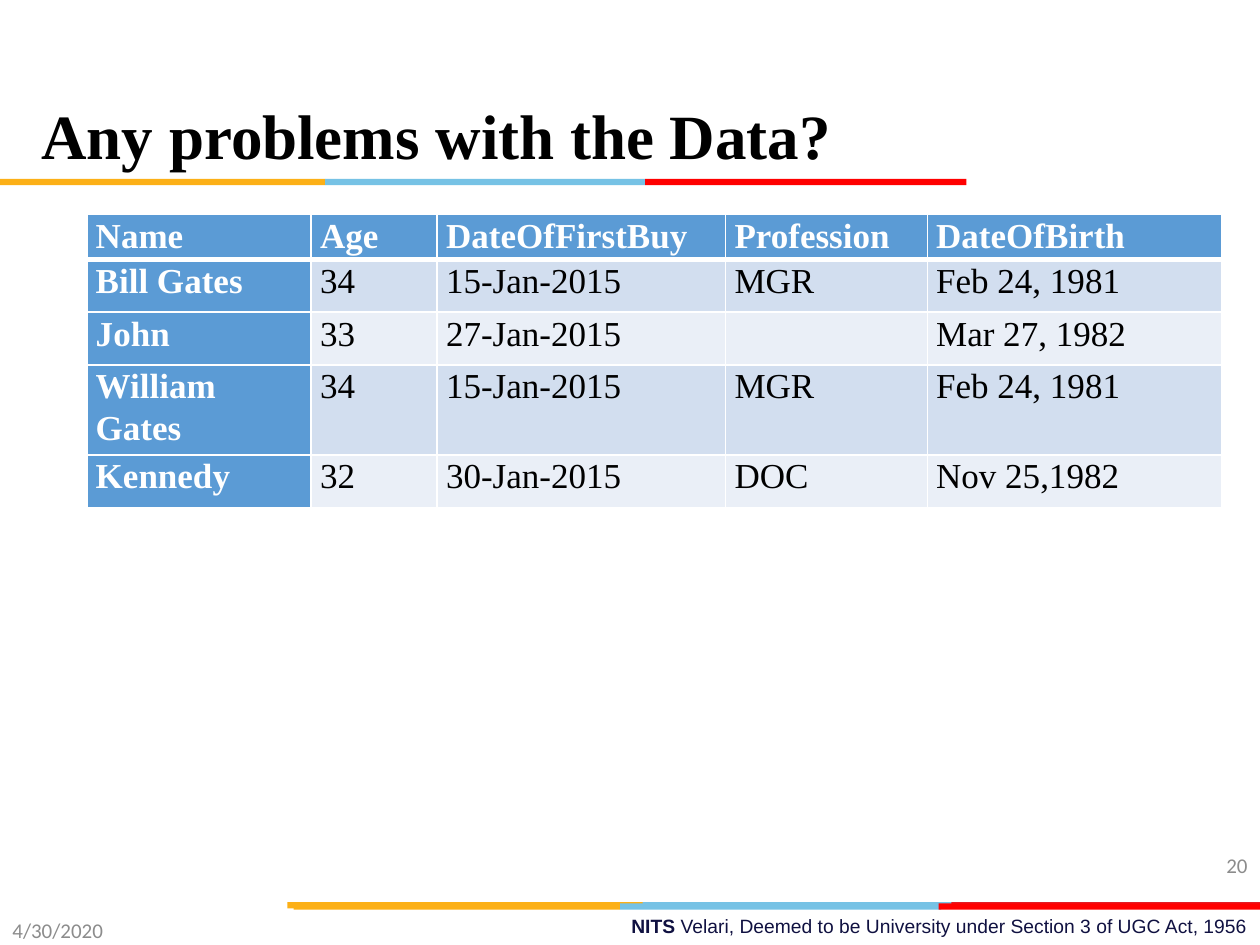
import lxml.etree
import pptx
import pptx.dml.color
import pptx.enum.shapes
import pptx.enum.text
import pptx.oxml.ns
import pptx.util

Inches = pptx.util.Inches
ALIGN = pptx.enum.text.PP_ALIGN
ANCHOR = pptx.enum.text.MSO_ANCHOR


class Theme:
    gold, sky, red, dark_red = "FCB017", "76C2E5", "FF0000", "E31C24"
    header, bands, border = "5B9BD5", ("D2DEEF", "EAEFF7"), "FFFFFF"
    title = {"name": "Times New Roman", "size": 36, "bold": True, "color": "000000"}
    table_head = {"name": "Times New Roman", "size": 20, "bold": True, "color": "FFFFFF"}
    table_body = table_head | {"bold": False, "color": "000000"}
    small = {"name": "Calibri", "size": 12, "bold": False, "color": "8C8C8C"}
    footer = {"name": "Arial", "size": 11, "bold": False, "color": "101141"}


COLUMN_WIDTHS = (1.78, 1, 2.29, 1.6, 2.34)
ROW_HEIGHTS = (0.33, 0.42, 0.42, 0.66, 0.42)
ROWS = (
    ("Name", "Age", "DateOfFirstBuy", "Profession", "DateOfBirth"),
    ("Bill Gates", "34", "15-Jan-2015", "MGR", "Feb 24, 1981"),
    ("John", "33", "27-Jan-2015", "", "Mar 27, 1982"),
    ("William Gates", "34", "15-Jan-2015", "MGR", "Feb 24, 1981"),
    ("Kennedy", "32", "30-Jan-2015", "DOC", "Nov 25,1982"),
)


def to_inches(box):
    return [Inches(length) for length in box]


def rgb(color):
    return pptx.dml.color.RGBColor.from_string(color)


def set_values(target, values):
    for name, value in values.items():
        setattr(target, name, value)


def write(paragraph, runs, alignment, line_spacing=None):
    set_values(paragraph, {"alignment": alignment, "line_spacing": line_spacing})
    for text, style in runs:
        run = paragraph.add_run()
        run.text = text
        set_values(run.font, {"name": style["name"], "bold": style["bold"],
                              "size": pptx.util.Pt(style["size"])})
        run.font.color.rgb = rgb(style["color"])


def add_text(slide, box, runs, alignment=ALIGN.LEFT, anchor=ANCHOR.MIDDLE,
             line_spacing=None):
    frame = slide.shapes.add_textbox(*to_inches(box)).text_frame
    set_values(frame, {"word_wrap": True, "vertical_anchor": anchor})
    write(frame.paragraphs[0], runs, alignment, line_spacing)


def add_stripe(slide, top, segments):
    """Draw a thin band from (left, right, color) segments."""
    for left, right, color in segments:
        shape = slide.shapes.add_shape(
            pptx.enum.shapes.MSO_SHAPE.RECTANGLE,
            *to_inches((left, top, right - left, 0.05)))
        shape.shadow.inherit = False
        shape.fill.solid()
        shape.fill.fore_color.rgb = rgb(color)
        shape.line.fill.background()


def set_borders(cell, bottom_width):
    properties = cell._tc.get_or_add_tcPr()
    qn = pptx.oxml.ns.qn
    widths = {"a:lnL": 1, "a:lnR": 1, "a:lnT": 1, "a:lnB": bottom_width}
    for position, (tag, width) in enumerate(widths.items()):
        line = lxml.etree.Element(qn(tag), w=str(pptx.util.Pt(width)))
        fill = lxml.etree.SubElement(line, qn("a:solidFill"))
        lxml.etree.SubElement(fill, qn("a:srgbClr"), val=Theme.border)
        properties.insert(position, line)


def add_data_table(slide, box):
    table = slide.shapes.add_table(len(ROWS), len(COLUMN_WIDTHS), *to_inches(box)).table
    for column, width in zip(table.columns, COLUMN_WIDTHS):
        column.width = Inches(width)
    for row, height in zip(table.rows, ROW_HEIGHTS):
        row.height = Inches(height)
    for row_index, values in enumerate(ROWS):
        for column_index, value in enumerate(values):
            cell = table.cell(row_index, column_index)
            is_head = row_index == 0 or column_index == 0
            set_values(cell, {"margin_left": Inches(0.07), "margin_right": Inches(0.07),
                              "margin_top": 0, "margin_bottom": 0})
            cell.fill.solid()
            cell.fill.fore_color.rgb = rgb(
                Theme.header if is_head else Theme.bands[(row_index - 1) % 2])
            set_borders(cell, 3 if row_index == 0 else 1)
            if value:
                style = Theme.table_head if is_head else Theme.table_body
                write(cell.text_frame.paragraphs[0], [(value, style)], ALIGN.JUSTIFY, 1.07)


def add_header(slide, box):
    left, top, width, height = box
    add_stripe(slide, top + height, (
        (0, 2.58, Theme.gold), (2.58, 5.12, Theme.sky), (5.12, 7.67, Theme.red)))
    add_text(slide, box, [("Any problems with the Data?", Theme.title)], line_spacing=0.9)


def add_footer(slide, box):
    left, top, width, height = box
    right = left + width
    add_text(slide, (3.58, top + 0.05, right - 3.58, 0.29), [
        ("NITS ", Theme.footer | {"bold": True}),
        ("Velari, Deemed to be University under Section 3 of UGC Act, 1956", Theme.footer),
    ], ALIGN.RIGHT, ANCHOR.TOP)
    # Two overlapping colour bands
    add_stripe(slide, top, (
        (5.06, 7.61, Theme.sky), (7.55, right, Theme.dark_red), (2.28, 5.1, Theme.gold)))
    add_stripe(slide, top + 0.01, (
        (4.92, 7.47, Theme.sky), (2.33, 4.92, Theme.gold), (7.45, right, Theme.red)))
    # Date and slide number
    add_text(slide, (left, top + 0.11, 2.25, 0.23), [("4/30/2020", Theme.small)])
    add_text(slide, (right - 2.33, top - 0.49, 2.33, 0.4), [("20", Theme.small)], ALIGN.RIGHT)


def main():
    presentation = pptx.Presentation()
    set_values(presentation, {"slide_width": Inches(10), "slide_height": Inches(7.5)})
    slide = presentation.slides.add_slide(presentation.slide_layouts[6])
    add_footer(slide, (0, 7.16, 10, 0.34))
    add_header(slide, (0.23, 0.79, 8.62, 0.63))
    add_data_table(slide, (0.69, 1.7, sum(COLUMN_WIDTHS), sum(ROW_HEIGHTS)))
    presentation.save("out.pptx")


if __name__ == "__main__":
    main()
